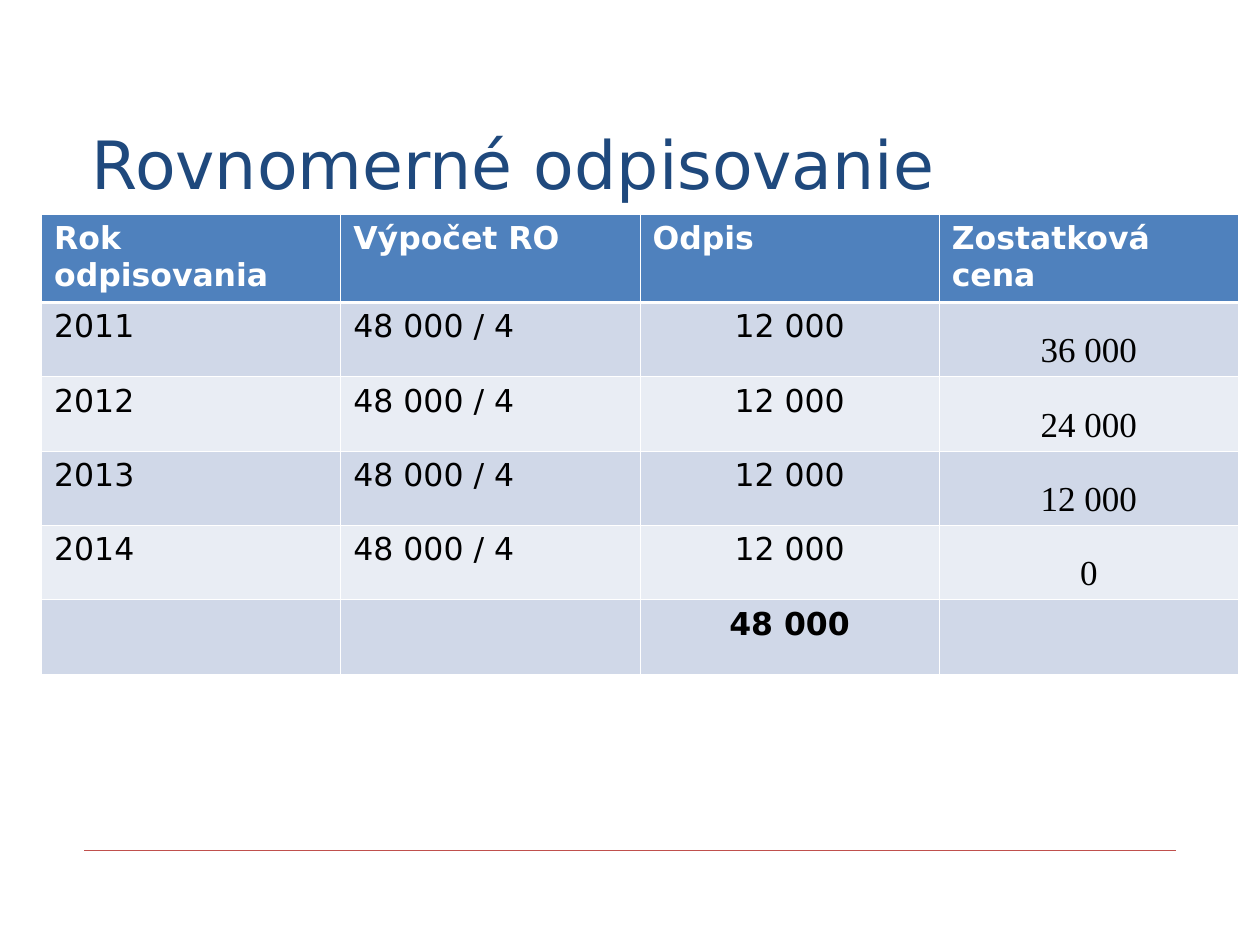
from lxml import etree
from pptx import Presentation, util as u
from pptx.dml.color import RGBColor
from pptx.enum import shapes, text
from pptx.oxml import ns

NAVY = RGBColor(0x1F, 0x49, 0x7D)
BLUE = RGBColor(0x4F, 0x81, 0xBD)
BAND_DARK = RGBColor(0xD0, 0xD8, 0xE8)
BAND_LIGHT = RGBColor(0xE9, 0xED, 0xF4)
RED = RGBColor(0xC0, 0x50, 0x4D)
WHITE = RGBColor(0xFF, 0xFF, 0xFF)
BLACK = RGBColor(0, 0, 0)
SANS, SERIF = "DejaVu Sans", "Times New Roman"

HEADER = ["Rok odpisovania", "Výpočet RO", "Odpis", "Zostatková cena"]
YEARS = [
    [year, "48 000 / 4", "12 000", rest]
    for year, rest in zip(("2011", "2012", "2013", "2014"),
                          ("36 000", "24 000", "12 000", "0"))
]
TOTAL = ["", "", "48 000", ""]


def add_run(p, value, size, color, font=SANS, bold=False):
    r = p.add_run()
    r.text = value
    r.font.name, r.font.size, r.font.bold = font, u.Pt(size), bold
    r.font.color.rgb = color


def add_title(s, left, top, width, height):
    tf = s.shapes.add_textbox(left, top, width, height).text_frame
    tf.word_wrap = True
    tf.vertical_anchor = text.MSO_ANCHOR.BOTTOM
    add_run(tf.paragraphs[0], "Rovnomerné odpisovanie", 38, NAVY)


def add_footer_rule(s, left, top, width):
    line = s.shapes.add_connector(
        shapes.MSO_CONNECTOR.STRAIGHT, left, top, left + width, top)
    line.line.color.rgb = RED
    line.line.width = u.Pt(0.25)
    etree.SubElement(line._element.spPr, ns.qn("a:effectLst"))


def set_borders(cell, widths):
    """Draw white borders; widths in points, ordered left, right, top, bottom."""
    tc_pr = cell._tc.get_or_add_tcPr()
    for i, (side, width) in enumerate(zip("LRTB", widths)):
        ln = etree.Element(ns.qn(f"a:ln{side}"), w=str(u.Pt(width)))
        fill = etree.SubElement(ln, ns.qn("a:solidFill"))
        etree.SubElement(fill, ns.qn("a:srgbClr"), val=str(WHITE))
        tc_pr.insert(i, ln)


def add_depreciation_table(s, left, top, width):
    rows = [HEADER, *YEARS, TOTAL]
    heights = [u.Inches(0.7)] + [u.Inches(0.59)] * (len(rows) - 1)
    table = s.shapes.add_table(
        len(rows), len(HEADER), left, top, width, sum(heights)).table
    table.horz_banding = False
    for row, height in zip(table.rows, heights):
        row.height = height
    for i, values in enumerate(rows):
        for j, value in enumerate(values):
            cell = table.cell(i, j)
            cell.fill.solid()
            cell.fill.fore_color.rgb = (
                BLUE if i == 0 else BAND_DARK if i % 2 else BAND_LIGHT)
            set_borders(cell, (0.45, 0.45, 1.47 if i == 1 else 0.45,
                               1.47 if i == 0 else 0.45))
            if not value:
                continue
            p = cell.text_frame.paragraphs[0]
            if i and j >= 2:
                p.alignment = text.PP_ALIGN.CENTER
            if i and j == 3:
                cell.vertical_anchor = text.MSO_ANCHOR.BOTTOM
                cell.margin_left = cell.margin_right = u.Inches(0.05)
                add_run(p, value, 20, BLACK, SERIF)
            else:
                add_run(p, value, 18, BLACK if i else WHITE,
                        bold=values in (HEADER, TOTAL))


def main():
    prs = Presentation()
    prs.slide_width, prs.slide_height = u.Inches(10), u.Inches(7.5)
    s = prs.slides.add_slide(prs.slide_layouts[6])
    add_footer_rule(s, u.Inches(0.67), u.Inches(6.75), u.Inches(8.66))
    add_title(s, u.Inches(0.63), u.Inches(0.33), u.Inches(8.75), u.Inches(1.33))
    add_depreciation_table(s, u.Inches(0.33), u.Inches(1.7), u.Inches(9.5))
    prs.save("out.pptx")


if __name__ == "__main__":
    main()
